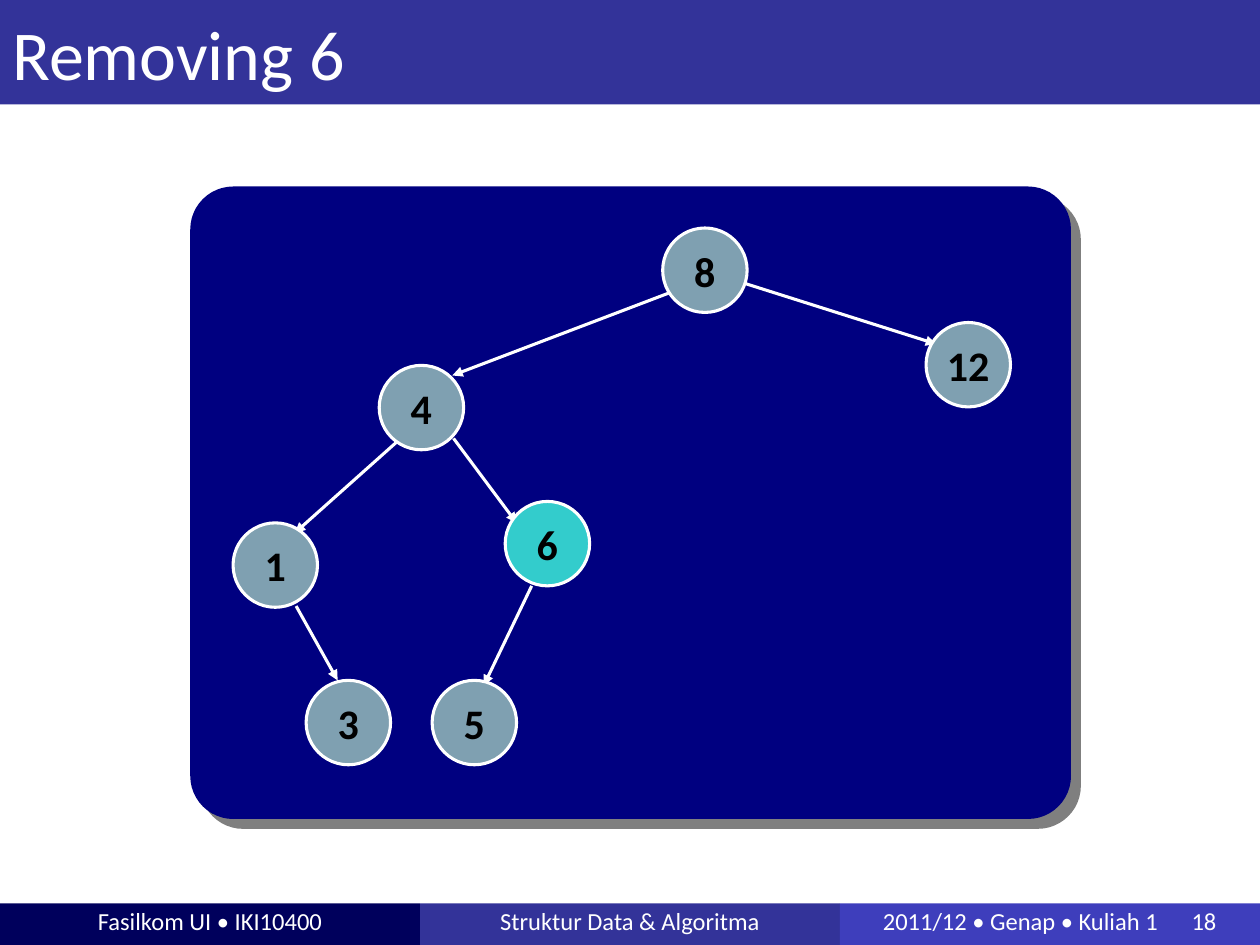
from lxml.etree import SubElement
from pptx import Presentation
from pptx.dml.color import RGBColor
from pptx.enum.shapes import MSO_CONNECTOR, MSO_SHAPE
from pptx.enum.text import MSO_ANCHOR, PP_ALIGN
from pptx.oxml.ns import qn
from pptx.util import Inches, Pt


def colour(value):
    """Turn a hex string into a colour."""
    return RGBColor.from_string(value)


def add_xml(parent, tag, **values):
    """Append a drawing element with the given attributes."""
    return SubElement(parent, qn(tag), values)


class TreeSlide:
    """Style and current slide of the tree drawing."""

    font = "Calibri"
    white = "FFFFFF"
    line_width = Pt(1.75)
    node_size = 0.67

    def __init__(self, deck):
        """Start a blank page."""
        self.page = deck.slides.add_slide(deck.slide_layouts[6])

    def shape(self, kind, left, top, width, height, fill):
        """Add a filled shape without line or shadow."""
        box = self.page.shapes.add_shape(
            kind, Inches(left), Inches(top), Inches(width), Inches(height))
        box.shadow.inherit = False
        box.fill.solid()
        box.fill.fore_color.rgb = colour(fill)
        box.line.fill.background()
        return box

    def label(self, box, text, size, ink=white, bold=False,
              align=PP_ALIGN.CENTER, **frame_values):
        """Put one line of text into a shape."""
        frame = box.text_frame
        values = {"word_wrap": True, "vertical_anchor": MSO_ANCHOR.MIDDLE}
        for name, value in (values | frame_values).items():
            setattr(frame, name, value)
        para = frame.paragraphs[0]
        para.alignment = align
        span = para.add_run()
        span.text = text
        for name, value in {"name": self.font, "size": Pt(size), "bold": bold}.items():
            setattr(span.font, name, value)
        span.font.color.rgb = colour(ink)
        return para

    def bar(self, left, top, width, height, fill, text, size, **format_values):
        """Add a coloured bar with text."""
        box = self.shape(MSO_SHAPE.RECTANGLE, left, top, width, height, fill)
        return self.label(box, text, size, **format_values)

    def panel(self, left, top, width, height, fill):
        """Add the rounded panel with its offset shadow."""
        box = self.shape(MSO_SHAPE.ROUNDED_RECTANGLE, left, top, width, height, fill)
        box.adjustments[0] = 0.068
        effects = box._element.spPr.find(qn("a:effectLst"))
        shadow = add_xml(effects, "a:outerShdw", blurRad="0", dist=str(Pt(8)),
                         dir="2700000", algn="ctr", rotWithShape="0")
        black = add_xml(shadow, "a:srgbClr", val="000000")
        add_xml(black, "a:alpha", val="50000")

    def edge(self, start, end):
        """Add an arrow from parent to child."""
        x1, y1, x2, y2 = (Inches(value) for value in start + end)
        line = self.page.shapes.add_connector(MSO_CONNECTOR.STRAIGHT, x1, y1, x2, y2)
        line.line.width = self.line_width
        line.line.color.rgb = colour(self.white)
        outline = line._element.spPr.find(qn("a:ln"))
        add_xml(outline, "a:tailEnd", type="triangle")
        add_xml(line._element.spPr, "a:effectLst")

    def node(self, key, left, top, fill):
        """Add a tree node with its key."""
        box = self.shape(MSO_SHAPE.OVAL, left, top, self.node_size, self.node_size, fill)
        box.line.color.rgb = colour(self.white)
        box.line.width = self.line_width
        self.label(box, key, 24, ink="000000", bold=True, word_wrap=False)


deck = Presentation()
deck.slide_width, deck.slide_height = Inches(10), Inches(7.5)
slide = TreeSlide(deck)

third = 10 / 3
footer_insets = {"margin_top": 0, "margin_bottom": Inches(0.05)}
numbered = {"align": PP_ALIGN.LEFT, "margin_left": Inches(0.34)}
footers = [
    ("Fasilkom UI • IKI10400", "00005C", {}),
    ("Struktur Data & Algoritma", "333399", {}),
    ("2011/12 • Genap • Kuliah 1\t18", "3E3EBC", numbered),
]
for index, (text, fill, values) in enumerate(footers):
    para = slide.bar(index * third, 7.17, third, 0.33, fill, text, 14,
                     **footer_insets, **values)
tabs = add_xml(para._p.get_or_add_pPr(), "a:tabLst")
add_xml(tabs, "a:tab", pos=str(Inches(2.45)), algn="l")

slide.bar(0, 0, 10, 0.83, "333399", "Removing 6", 40, align=PP_ALIGN.LEFT)
slide.panel(1.51, 1.48, 6.99, 5.02, "000080")

edges = [
    ((5.35, 2.31), (3.59, 2.98)),
    ((5.85, 2.23), (7.43, 2.73)),
    ((3.18, 3.48), (2.34, 4.23)),
    ((3.6, 3.48), (4.1, 4.15)),
    ((2.35, 4.81), (2.68, 5.4)),
    ((4.22, 4.65), (3.84, 5.44)),
]
for start, end in edges:
    slide.edge(start, end)

nodes = {
    "8": (5.26, 1.81), "4": (3.01, 2.9), "12": (7.35, 2.56), "1": (1.85, 4.15),
    "6": (4.01, 3.98), "3": (2.43, 5.4), "5": (3.43, 5.4),
}
removed = "6"
for key, (left, top) in nodes.items():
    slide.node(key, left, top, "33CCCC" if key == removed else "7FA0B1")

deck.save("out.pptx")
